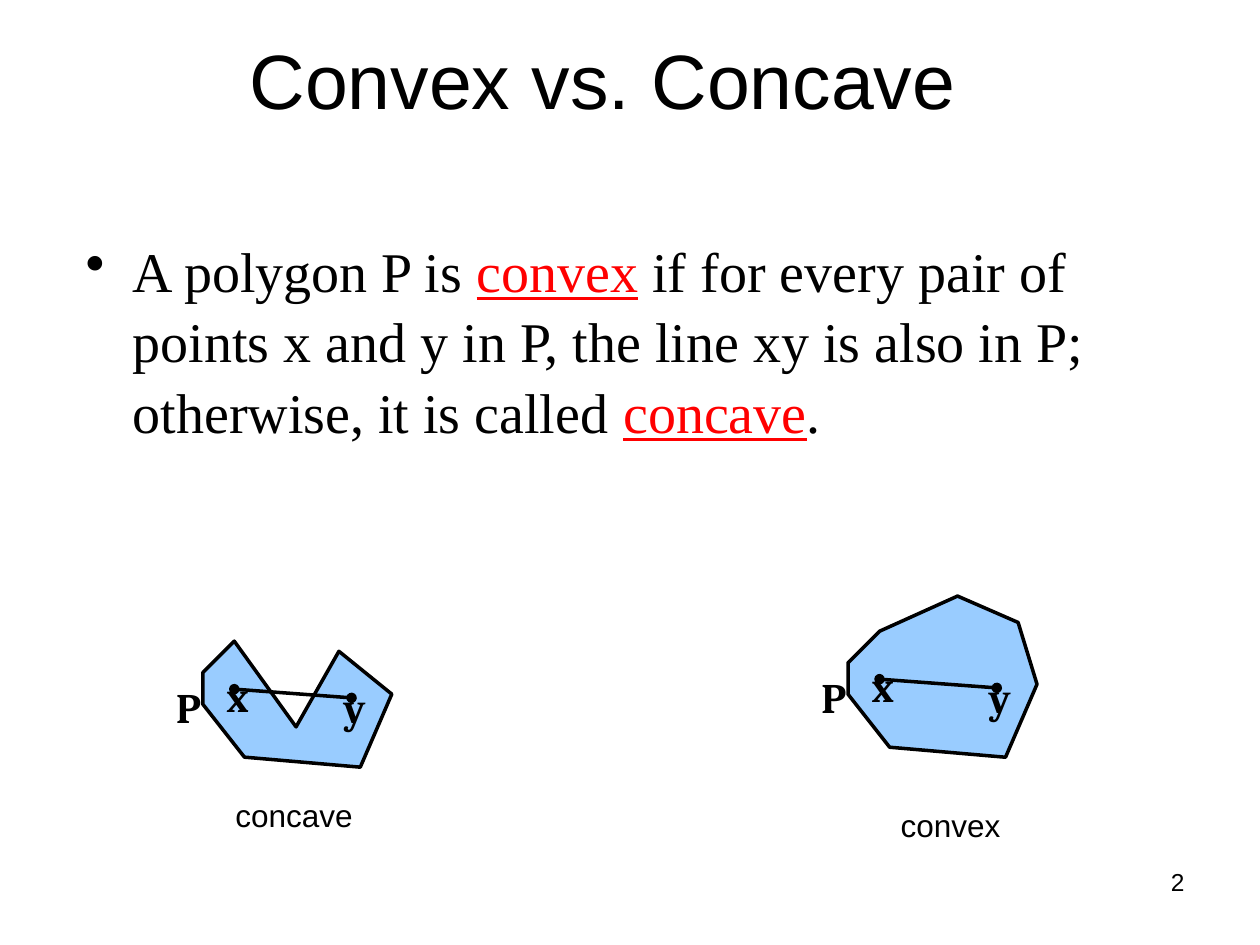
import pptx
import pptx.dml.color
import pptx.enum.shapes
import pptx.enum.text
import pptx.oxml
import pptx.oxml.ns
import pptx.util

Pt = pptx.util.Pt
ALIGN = pptx.enum.text.PP_ALIGN
ANCHOR = pptx.enum.text.MSO_ANCHOR
BLACK, RED, LIGHT_BLUE = "000000", "FF0000", "99CCFF"

TITLE_FONT = {"name": "Arial", "size": Pt(44)}
BODY_FONT = {"name": "Times New Roman", "size": Pt(32)}
CAPTION_FONT = {"name": "Arial", "size": Pt(18)}
NUMBER_FONT = {"name": "Arial", "size": Pt(14)}
LABEL_FONT = {"name": "Cambria", "size": Pt(24), "bold": True}

# Polygon outlines, relative to point x of each diagram.
SHARED_OUTLINE = [(90, 2.9), (72, 44.6), (5.8, 38.9), (-18, 8.6), (-18, -9.4)]
CONCAVE_OUTLINE = [(0, -27.4), (35.3, 21.6), (59.8, -21.6)] + SHARED_OUTLINE
CONVEX_OUTLINE = [(0, -27.4), (44.6, -47.5), (79.2, -32.4)] + SHARED_OUTLINE
POINT_LABELS = [("x", -11.5, -14.4, 26.6), ("y", 55.4, -7.9, 26.6),
                ("P", -40.3, -7.9, 28.8)]


def color(value):
    """Turn a hex string into a colour."""
    return pptx.dml.color.RGBColor.from_string(value)


def set_format(target, values):
    """Set each named attribute on the target."""
    for name, value in values.items():
        setattr(target, name, value)


def add_text(shapes, box, runs, font, paragraph_format=None, wrap=True,
             anchor=ANCHOR.TOP):
    """Add a text box of (text, overrides, colour) runs; return its paragraph."""
    shape = shapes.add_textbox(*map(Pt, box))
    set_format(shape.text_frame, {"word_wrap": wrap, "vertical_anchor": anchor})
    paragraph = shape.text_frame.paragraphs[0]
    set_format(paragraph, paragraph_format or {})
    for text, overrides, hex_color in runs:
        run = paragraph.add_run()
        run.text = text
        set_format(run.font, {**font, **overrides})
        run.font.color.rgb = color(hex_color)
    return paragraph


def add_bullet(paragraph, indent):
    """Give the paragraph a round bullet with a hanging indent."""
    properties = paragraph._p.get_or_add_pPr()
    properties.set("marL", str(Pt(indent)))
    properties.set("indent", str(-Pt(indent)))
    bullet = pptx.oxml.parse_xml(
        '<a:buChar %s char="\u2022"/>' % pptx.oxml.ns.nsdecls("a"))
    properties.append(bullet)


def style_line(line):
    """Apply the common black outline."""
    line.color.rgb = color(BLACK)
    line.width = Pt(2)


def add_polygon(shapes, points):
    """Add a closed, filled polygon."""
    corners = [(Pt(x), Pt(y)) for x, y in points]
    builder = shapes.build_freeform(*corners[0], scale=1.0)
    builder.add_line_segments(corners[1:], close=True)
    shape = builder.convert_to_shape()
    shape.shadow.inherit = False
    shape.fill.solid()
    shape.fill.fore_color.rgb = color(LIGHT_BLUE)
    style_line(shape.line)


def add_segment(shapes, start, end):
    """Add a straight line with a dot at each end."""
    connector = shapes.add_connector(
        pptx.enum.shapes.MSO_CONNECTOR.STRAIGHT, *map(Pt, start + end))
    style_line(connector.line)
    namespace = pptx.oxml.ns.nsdecls("a")
    for tag in ("headEnd", "tailEnd"):
        connector.line._get_or_add_ln().append(
            pptx.oxml.parse_xml('<a:%s %s type="oval"/>' % (tag, namespace)))
    connector._element.spPr.append(
        pptx.oxml.parse_xml("<a:effectLst %s/>" % namespace))


def add_diagram(slide, left, top, outline):
    """Add a polygon with segment xy and its labels; x lies at (left, top)."""
    shapes = slide.shapes.add_group_shape().shapes
    add_polygon(shapes, [(left + x, top + y) for x, y in outline])
    add_segment(shapes, (left, top), (left + 67, top + 5))
    for text, x, y, width in POINT_LABELS:
        add_text(shapes, (left + x, top + y, width, 36), [(text, {}, BLACK)],
                 LABEL_FONT, wrap=False)


def main():
    """Build and save the slide."""
    presentation = pptx.Presentation()
    set_format(presentation, {"slide_width": Pt(720), "slide_height": Pt(540)})
    slide = presentation.slides.add_slide(presentation.slide_layouts[6])
    shapes = slide.shapes

    add_text(shapes, (41.8, 23.8, 593.3, 41.8),
             [(" Convex vs. Concave", {}, BLACK)], TITLE_FONT,
             {"alignment": ALIGN.CENTER}, anchor=ANCHOR.MIDDLE)

    underlined = {"underline": True}
    definition = [
        ("A polygon P is ", {}, BLACK),
        ("convex", underlined, RED),
        (" if for every pair of points x and y in P, the line xy is also "
         "in P; otherwise, it is called ", {}, BLACK),
        ("concave", underlined, RED),
        (".", {}, BLACK),
    ]
    paragraph = add_text(shapes, (41.8, 129.6, 635.8, 374.4), definition,
                         BODY_FONT, {"space_before": Pt(2), "line_spacing": 1.05})
    add_bullet(paragraph, 27)

    add_diagram(slide, 133.9, 393.8, CONCAVE_OUTLINE)
    add_diagram(slide, 502.6, 388.1, CONVEX_OUTLINE)
    for text, box in (("convex", (507.6, 457.2, 71.3, 28.8)),
                      ("concave", (127.4, 451.4, 81.4, 28.8))):
        add_text(shapes, box, [(text, {}, BLACK)], CAPTION_FONT, wrap=False)

    add_text(shapes, (516.2, 491.8, 167.8, 37.4), [("2", {}, BLACK)],
             NUMBER_FONT, {"alignment": ALIGN.RIGHT})
    presentation.save("out.pptx")


main()
